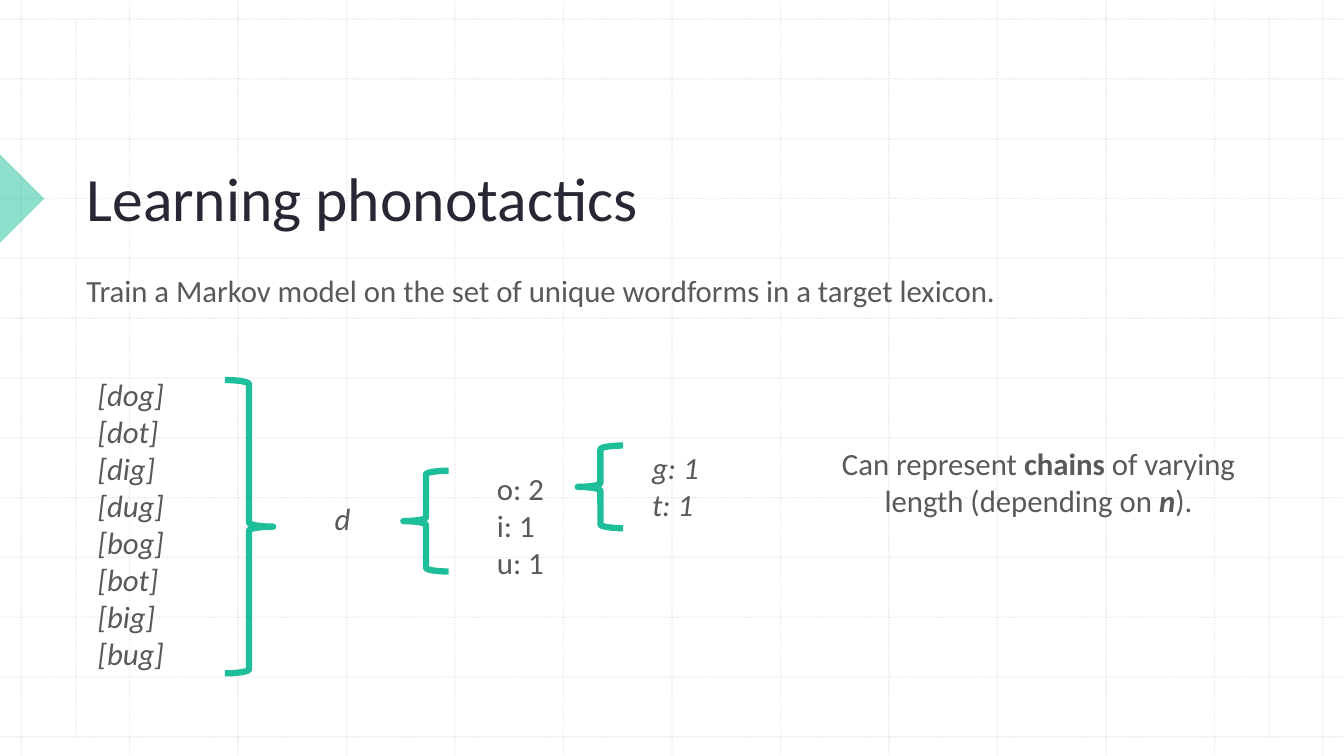
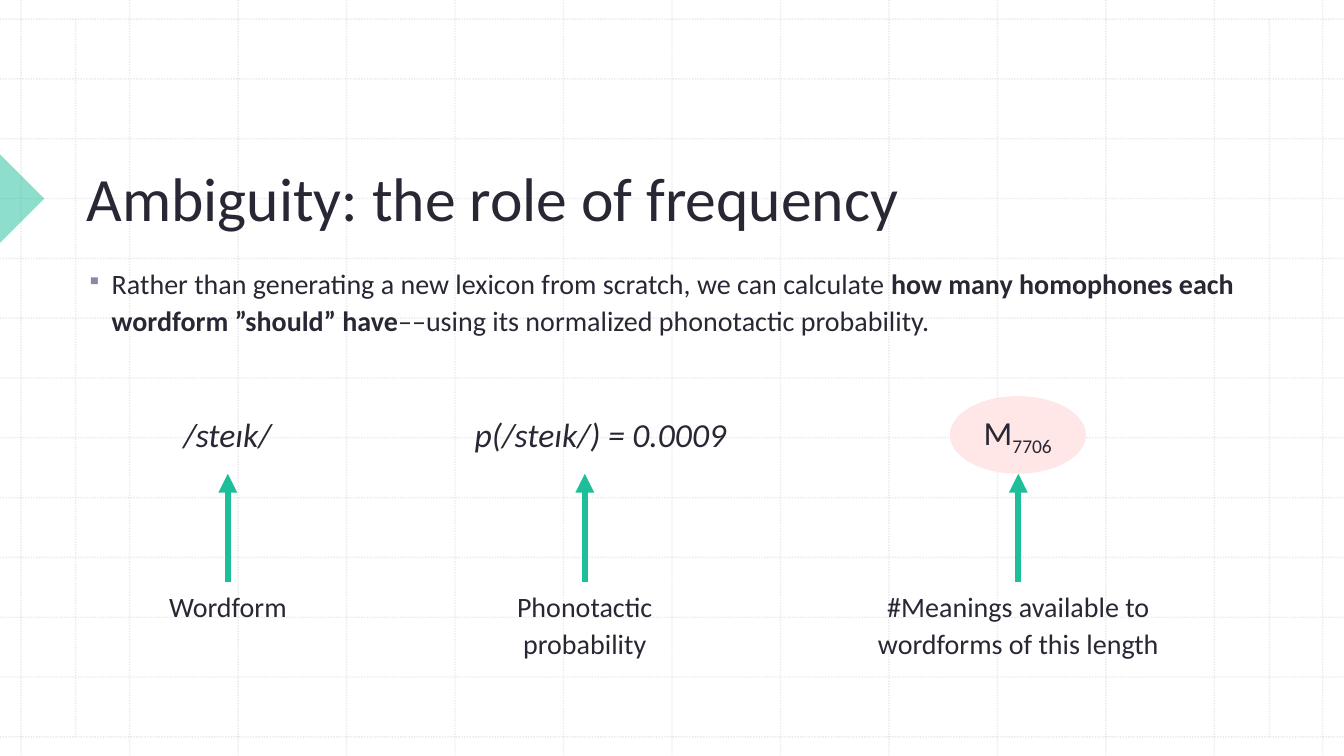
from lxml.etree import SubElement
from pptx import Presentation
from pptx.dml.color import RGBColor
from pptx.enum.dml import MSO_LINE
from pptx.enum.shapes import MSO_CONNECTOR, MSO_SHAPE
from pptx.enum.text import MSO_ANCHOR, PP_ALIGN
from pptx.oxml.ns import qn
from pptx.util import Pt

PX = 9144  # EMU per px, 100 px to the inch
WIDTH, HEIGHT = 1333, 750
FONT = "Calibri"
WHITE = RGBColor(0xFF, 0xFF, 0xFF)
GRID = RGBColor(0xBC, 0xBC, 0xBC)
GREEN = RGBColor(0x1E, 0xBE, 0x9B)
PINK = RGBColor(0xFF, 0xE7, 0xE7)
DARK = RGBColor(0x2A, 0x27, 0x35)
GREY = RGBColor(0x59, 0x59, 0x59)
BULLET = "8D87A6"


def px(*lengths):
    """Turn px lengths into EMU."""
    return [round(length * PX) for length in lengths]


def write(shape, *paragraphs, size=22, color=GREY, italic=False, align=PP_ALIGN.LEFT,
          anchor=MSO_ANCHOR.TOP, spacing=None, bullet=None):
    """Fill a shape; a paragraph is a string or a list of (text, style) runs.

    A style is any mix of the words bold, italic and sub.
    """
    frame = shape.text_frame
    frame.word_wrap = True
    frame.vertical_anchor = anchor
    for index, content in enumerate(paragraphs):
        paragraph = frame.add_paragraph() if index else frame.paragraphs[0]
        if bullet:
            properties = paragraph._p.get_or_add_pPr()
            properties.set("marL", str(25 * PX))
            properties.set("indent", str(-25 * PX))
            SubElement(SubElement(properties, qn("a:buClr")), qn("a:srgbClr"), val=BULLET)
            SubElement(properties, qn("a:buSzPct"), val="75000")
            SubElement(properties, qn("a:buChar"), char=bullet)
        paragraph.alignment = align
        if spacing:
            paragraph.line_spacing = spacing
        for text, style in [(content, "")] if isinstance(content, str) else content:
            run = paragraph.add_run()
            run.text = text
            run.font.name = FONT
            run.font.size = Pt(size)
            run.font.color.rgb = color
            run.font.bold = "bold" in style
            run.font.italic = italic or "italic" in style
            if "sub" in style:
                run._r.get_or_add_rPr().set("baseline", "-25000")


deck = Presentation()
deck.slide_width, deck.slide_height = px(WIDTH, HEIGHT)

# Shared background, marker and title
columns = [21 + 1291 * step / 12 for step in range(13)]
rows = [19 + 712 * step / 12 for step in range(13)]
grid_lines = [(x, 0, x, HEIGHT) for x in columns]
grid_lines += [(0, y, WIDTH, y) for y in rows]
grid_lines += [(x, rows[0], x, rows[-1]) for x in (75, 1259)]

slides = []
for title in ("Learning phonotactics", "Ambiguity: the role of frequency"):
    slide = deck.slides.add_slide(deck.slide_layouts[6])
    slide.background.fill.solid()
    slide.background.fill.fore_color.rgb = WHITE
    for ends in grid_lines:
        rule = slide.shapes.add_connector(MSO_CONNECTOR.STRAIGHT, *px(*ends))
        rule.line.color.rgb = GRID
        rule.line.width = Pt(1)
        rule.line.dash_style = MSO_LINE.ROUND_DOT
        tint = rule._element.spPr.find(".//" + qn("a:srgbClr"))
        SubElement(tint, qn("a:alpha"), val="30000")
        SubElement(rule._element.spPr, qn("a:effectLst"))

    marker = slide.shapes.add_shape(MSO_SHAPE.RIGHT_TRIANGLE, *px(-31, 166, 62, 62))
    marker.rotation = 225
    marker.shadow.inherit = False
    marker.fill.solid()
    marker.fill.fore_color.rgb = GREEN
    tint = marker._element.spPr.find(".//" + qn("a:srgbClr"))
    SubElement(tint, qn("a:alpha"), val="50000")
    marker.line.fill.background()

    write(slide.shapes.add_textbox(*px(76, 79, 1129, 158)), title,
          size=44, color=DARK, anchor=MSO_ANCHOR.BOTTOM)
    slides.append(slide)

learning, ambiguity = [slide.shapes for slide in slides]

# Learning phonotactics
write(learning.add_textbox(*px(76, 265, 1233, 75)),
      "Train a Markov model on the set of unique wordforms in a target lexicon.")
words = ("dog", "dot", "dig", "dug", "bog", "bot", "big", "bug")
write(learning.add_textbox(*px(87, 368, 98, 340)),
      *[f"[{word}]" for word in words], italic=True)
write(learning.add_textbox(*px(322, 491, 77, 53)), "d", italic=True)
write(learning.add_textbox(*px(483, 461, 102, 123)), "o: 2", "i: 1", "u: 1")
write(learning.add_textbox(*px(637, 440, 168, 82)), "g: 1", "t: 1", italic=True)
write(learning.add_textbox(*px(790, 436, 480, 161)),
      [("Can represent ", ""), ("chains", "bold"), (" of varying length (depending on ", ""),
       ("n", "bold italic"), (").", "")],
      align=PP_ALIGN.CENTER)

for kind, *place in (
    (MSO_SHAPE.RIGHT_BRACE, 223, 377, 48, 291),
    (MSO_SHAPE.LEFT_BRACE, 400, 467, 45, 100),
    (MSO_SHAPE.LEFT_BRACE, 573, 442, 45, 82),
):
    brace = learning.add_shape(kind, *px(*place))
    brace.shadow.inherit = False
    brace.fill.background()
    brace.line.color.rgb = GREEN
    brace.line.width = Pt(4.5)

# Ambiguity: the role of frequency
write(ambiguity.add_textbox(*px(76, 256, 1258, 175)),
      [("Rather than generating a new lexicon from scratch, we can calculate ", ""),
       ("how many homophones each wordform ”should” have", "bold"),
       ("––using its normalized phonotactic probability.", "")],
      size=20, color=DARK, spacing=1.1, bullet="▪")

for left, width, formula in ((121, 209, "/steɪk/"), (376, 439, "p(/steɪk/) = 0.0009")):
    write(ambiguity.add_textbox(*px(left, 402, width, 87)), formula,
          size=24, color=DARK, italic=True, align=PP_ALIGN.CENTER, spacing=1.1)

meanings = ambiguity.add_shape(MSO_SHAPE.OVAL, *px(942, 393, 135, 77))
meanings.shadow.inherit = False
meanings.fill.solid()
meanings.fill.fore_color.rgb = PINK
meanings.line.fill.background()
write(meanings, [("M", ""), ("7706", "sub")], size=24, color=DARK,
      align=PP_ALIGN.CENTER, anchor=MSO_ANCHOR.MIDDLE)

for center, width, caption in (
    (226, 165, "Wordform"),
    (580, 213, "Phonotactic probability"),
    (1010, 381, "#Meanings available to wordforms of this length"),
):
    write(ambiguity.add_textbox(*px(center - width / 2, 577, width, 134)), caption,
          size=20, color=DARK, align=PP_ALIGN.CENTER, spacing=1.1)
    arrow = ambiguity.add_connector(MSO_CONNECTOR.STRAIGHT, *px(center, 577, center, 470))
    arrow.line.color.rgb = GREEN
    arrow.line.width = Pt(4.5)
    SubElement(arrow.line._get_or_add_ln(), qn("a:tailEnd"), type="triangle")
    SubElement(arrow._element.spPr, qn("a:effectLst"))

deck.save("out.pptx")
